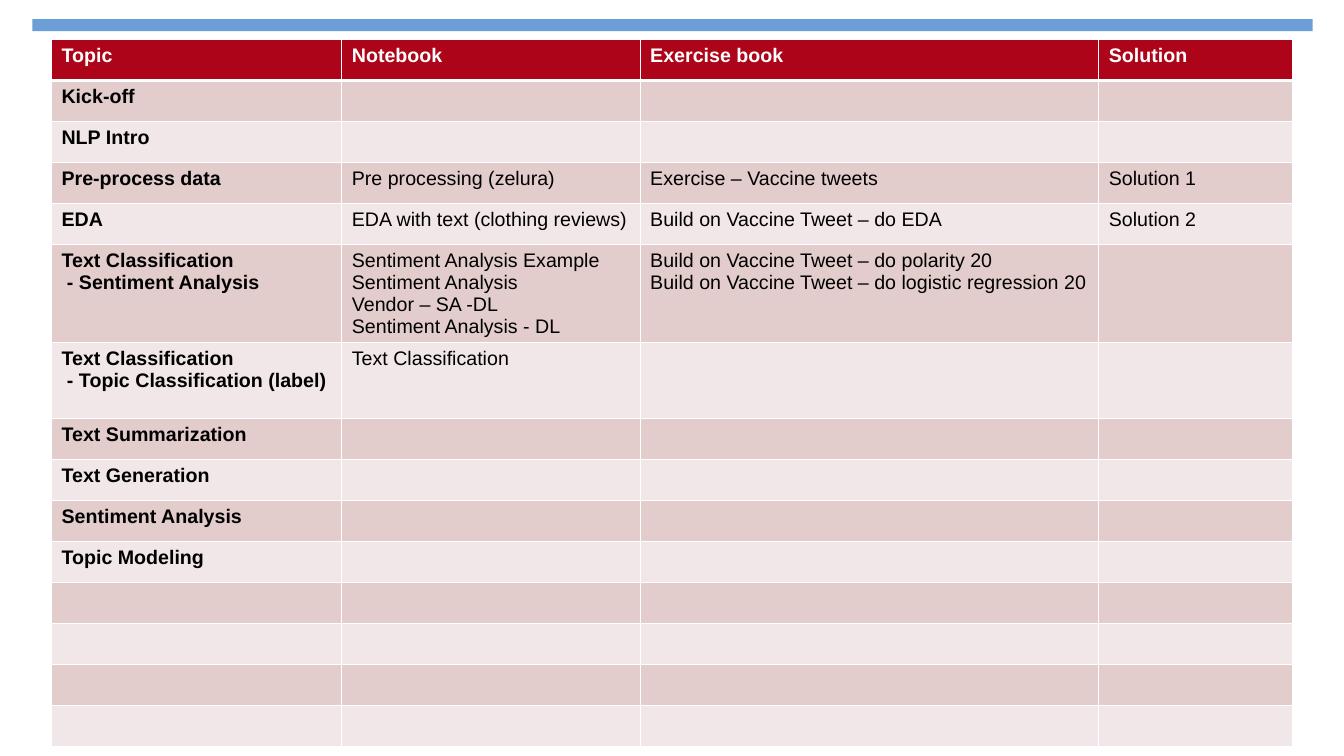
from dataclasses import dataclass

from lxml import etree
from pptx import Presentation
from pptx import util as u
from pptx.dml.color import RGBColor
from pptx.enum import shapes
from pptx.oxml import ns

WIDE, HIGH = u.Inches(13.33), u.Inches(7.5)
WHITE = RGBColor(0xFF, 0xFF, 0xFF)
BLACK = RGBColor(0x00, 0x00, 0x00)
BLUE = RGBColor(0x6C, 0x9E, 0xD8)
RED = RGBColor(0xAE, 0x04, 0x19)
ROSE = RGBColor(0xE3, 0xCC, 0xCC)
BLUSH = RGBColor(0xF2, 0xE7, 0xE8)

COLS = (21.6, 22.2, 34.13, 14.4)
FONT = {"name": "Arial", "size": u.Pt(14)}


@dataclass(frozen=True)
class Box:
    left: float
    top: float
    width: float
    height: float

    def place(self) -> tuple[int, int, int, int]:
        return (across(self.left), down(self.top),
                across(self.width), down(self.height))


@dataclass(frozen=True)
class Row:
    cells: tuple[str, ...] = ()
    height: float = 5.43


ROWS = (
    Row(("Topic", "Notebook", "Exercise book", "Solution")),
    Row(("Kick-off",)),
    Row(("NLP Intro",)),
    Row(("Pre-process data", "Pre processing (zelura)",
         "Exercise – Vaccine tweets", "Solution 1")),
    Row(("EDA", "EDA with text (clothing reviews)",
         "Build on Vaccine Tweet – do EDA", "Solution 2")),
    Row(("Text Classification\n - Sentiment Analysis",
         "Sentiment Analysis Example\nSentiment Analysis\n"
         "Vendor – SA -DL\nSentiment Analysis - DL",
         "Build on Vaccine Tweet – do polarity 20\n"
         "Build on Vaccine Tweet – do logistic regression 20"), 13),
    Row(("Text Classification\n - Topic Classification (label)",
         "Text Classification"), 10),
    Row(("Text Summarization",)),
    Row(("Text Generation",)),
    Row(("Sentiment Analysis",)),
    Row(("Topic Modeling",)),
    *[Row()] * 4,
)


def across(share: float) -> int:
    return round(WIDE * share / 100)


def down(share: float) -> int:
    return round(HIGH * share / 100)


def edge(cell, side: str, width: float) -> None:
    line = etree.SubElement(cell._tc.get_or_add_tcPr(), ns.qn(f"a:ln{side}"),
                            w=str(u.Pt(width)))
    fill = etree.SubElement(line, ns.qn("a:solidFill"))
    etree.SubElement(fill, ns.qn("a:srgbClr"), val=str(WHITE))


def dress(cell, row: int, col: int, words: str) -> None:
    head = row == 0
    widths = {"L": 1, "R": 1, "T": 3 if row == 1 else 1, "B": 3 if head else 1}
    for side, width in widths.items():
        edge(cell, side, width)
    cell.fill.solid()
    cell.fill.fore_color.rgb = RED if head else ROSE if row % 2 else BLUSH
    if not words:
        return
    cell.text = words
    for para in cell.text_frame.paragraphs:
        for name, value in {**FONT, "bold": head or col == 0}.items():
            setattr(para.font, name, value)
            setattr(para.runs[0].font, name, value)
        para.runs[0].font.color.rgb = WHITE if head else BLACK


def draw_bar(slide, box: Box) -> None:
    bar = slide.shapes.add_shape(shapes.MSO_SHAPE.RECTANGLE, *box.place())
    bar.shadow.inherit = False
    bar.fill.solid()
    bar.fill.fore_color.rgb = BLUE
    bar.line.fill.background()


def draw_grid(slide, left: float, top: float) -> None:
    box = Box(left, top, sum(COLS), sum(row.height for row in ROWS))
    grid = slide.shapes.add_table(len(ROWS), len(COLS), *box.place()).table
    grid.horz_banding = False
    for col, share in zip(grid.columns, COLS):
        col.width = across(share)
    for r, row in enumerate(ROWS):
        grid.rows[r].height = down(row.height)
        for c in range(len(COLS)):
            words = row.cells[c] if c < len(row.cells) else ""
            dress(grid.cell(r, c), r, c, words)


def main() -> None:
    deck = Presentation()
    deck.slide_width, deck.slide_height = WIDE, HIGH
    slide = deck.slides.add_slide(deck.slide_layouts[6])
    draw_bar(slide, Box(2.4, 2.53, 95.27, 1.6))
    draw_grid(slide, 3.83, 5.2)
    deck.save("out.pptx")


if __name__ == "__main__":
    main()
